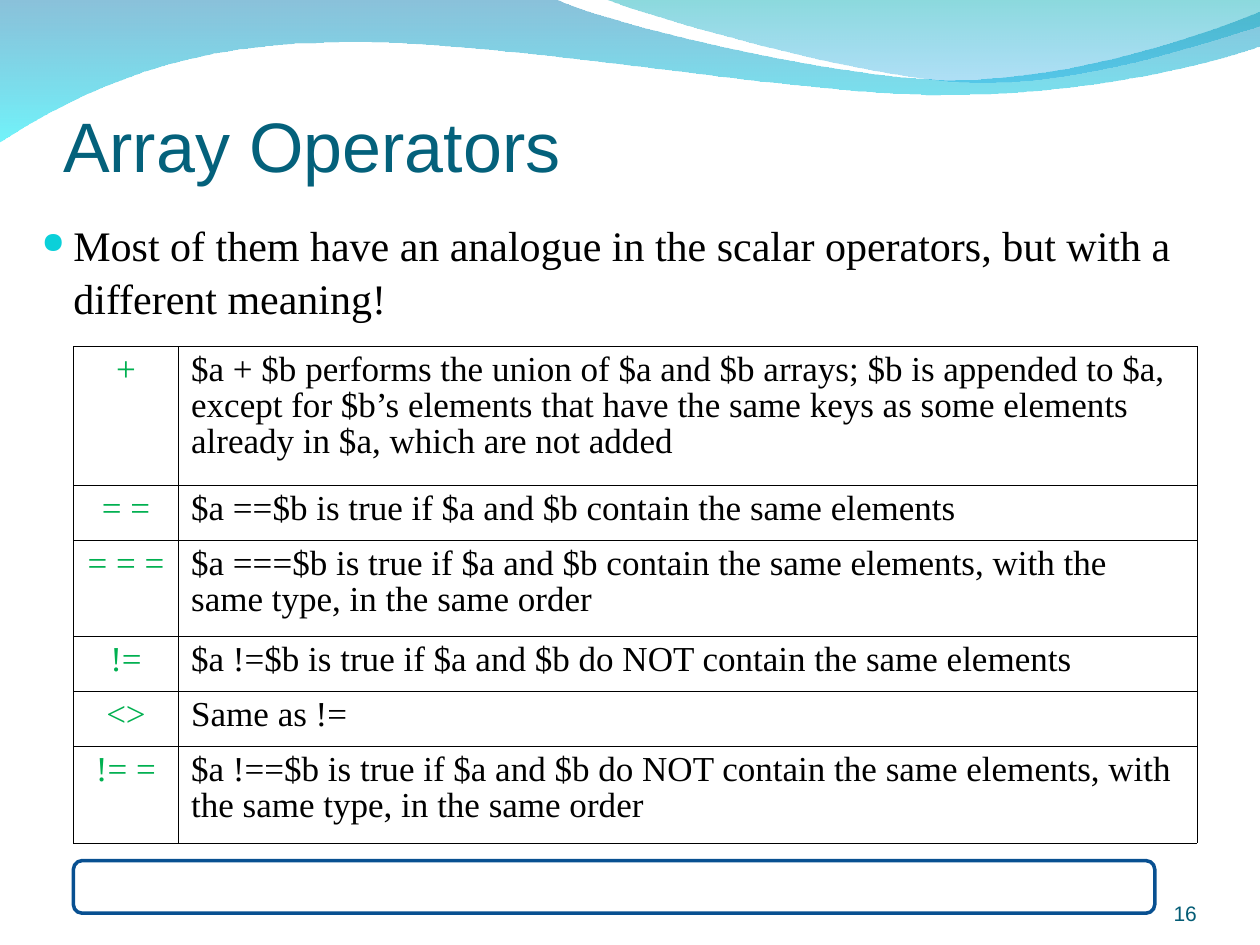
from pptx import Presentation
from pptx.dml.color import RGBColor
from pptx.enum.shapes import MSO_SHAPE
from pptx.enum.text import MSO_ANCHOR, MSO_AUTO_SIZE, PP_ALIGN
from pptx.oxml.ns import qn
from pptx.util import Cm, Pt
from lxml.etree import SubElement

SERIF = "Times New Roman"
SANS = "Arial"

BACK_WAVE = [
    [(0, -0.03)],
    [(11.18, -0.03)],
    [(12.09, 0.43), (16.87, 1.6), (19.25, 1.6)],
    [(21.67, 1.6), (24.33, 0.66), (25.4, 0.23)],
    [(25.43, 0.91)],
    [(24.97, 1.12), (22.1, 1.93), (18.95, 1.91)],
    [(15.8, 1.91), (9.7, 0.71), (6.53, 0.86)],
    [(3.28, 0.89), (1.17, 2.11), (-0.03, 2.87)],
]
FRONT_WAVE = [
    [(12.17, -0.03)],
    [(12.93, 0.28), (17.32, 1.57), (19.53, 1.65)],
    [(21.74, 1.75), (24.41, 0.81), (25.4, 0.53)],
    [(25.4, 0)],
]
SHORT_ROW, MIDDLE_ROW, TALL_ROW = 1.11, 1.94, 2.8
OPERATORS = [
    ("+", "$a + $b performs the union of $a and $b arrays; $b is appended to $a, "
          "except for $b’s elements that have the same keys as some elements "
          "already in $a, which are not added", TALL_ROW),
    ("= =", "$a ==$b is true if $a and $b contain the same elements", SHORT_ROW),
    ("= = =", "$a ===$b is true if $a and $b contain the same elements, "
              "with the same type, in the same order", MIDDLE_ROW),
    ("!=", "$a !=$b is true if $a and $b do NOT contain the same elements", SHORT_ROW),
    ("<>", "Same as !=", SHORT_ROW),
    ("!= =", "$a !==$b is true if $a and $b do NOT contain the same elements, "
             "with the same type, in the same order", MIDDLE_ROW),
]


def rgb(value):
    """Turn a hex string into a colour."""
    return RGBColor.from_string(value)


def write(frame, text, font=SERIF, size=20, color="000000", align=PP_ALIGN.LEFT,
          spacing=1.0, before=0):
    """Put one formatted paragraph in a text frame and return it."""
    paragraph = frame.paragraphs[0]
    paragraph.alignment = align
    paragraph.line_spacing = spacing
    paragraph.space_before = Pt(before)
    run = paragraph.add_run()
    run.text = text
    run.font.name = font
    run.font.size = Pt(size)
    run.font.color.rgb = rgb(color)
    return paragraph


def set_frame(frame, anchor, top=0, bottom=0):
    """Set wrapping, anchor and margins of a text frame."""
    frame.word_wrap = True
    frame.auto_size = MSO_AUTO_SIZE.NONE
    frame.vertical_anchor = anchor
    frame.margin_left = frame.margin_right = 0
    frame.margin_top, frame.margin_bottom = Cm(top), Cm(bottom)


def bend_segments(wave, segments):
    """Merge the three corners of each curved segment into one cubic curve."""
    corners = iter(list(wave._element.iter(qn("a:lnTo"))))
    for segment in segments[1:]:
        first, *others = [next(corners) for _ in segment]
        if others:
            first.tag = qn("a:cubicBezTo")
        for corner in others:
            first.append(corner[0])
            corner.getparent().remove(corner)


def add_wave(slide, segments, stops):
    """Draw a wave with a translucent top-to-bottom gradient."""
    start, *corners = [(Cm(x), Cm(y)) for segment in segments for x, y in segment]
    builder = slide.shapes.build_freeform(*start)
    builder.add_line_segments(corners, close=True)
    wave = builder.convert_to_shape()
    bend_segments(wave, segments)
    wave.shadow.inherit = False
    wave.line.fill.background()
    wave.fill.gradient()
    wave.fill.gradient_angle = 270
    for stop, (color, _) in zip(wave.fill.gradient_stops, stops):
        stop.color.rgb = rgb(color)
    for tint, (_, opacity) in zip(wave._element.spPr.iter(qn("a:srgbClr")), stops):
        SubElement(tint, qn("a:alpha"), val=str(opacity * 1000))


def add_title(slide, text):
    """Place and fill the title."""
    title = slide.shapes.title
    title.left, title.top, title.width, title.height = Cm(1.27), Cm(1.9), Cm(23.5), Cm(1.9)
    set_frame(title.text_frame, MSO_ANCHOR.MIDDLE, top=0.13)
    write(title.text_frame, text, font=SANS, size=40, color="04617B")


def add_bullet(slide, text):
    """Add the bulleted introduction."""
    intro = slide.shapes.add_textbox(Cm(0.84), Cm(4.24), Cm(23.93), Cm(2.97))
    set_frame(intro.text_frame, MSO_ANCHOR.TOP, top=0.13, bottom=0.13)
    paragraph = write(intro.text_frame, text, size=24, spacing=1.05, before=6)
    properties = paragraph._p.get_or_add_pPr()
    properties.set("marL", str(Cm(0.64)))
    properties.set("indent", str(-Cm(0.64)))
    bullet_color = SubElement(properties, qn("a:buClr"))
    SubElement(bullet_color, qn("a:srgbClr"), val="0BD0D9")
    SubElement(properties, qn("a:buSzPct"), val="70000")
    SubElement(properties, qn("a:buChar"), char="●")


def add_borders(cell):
    """Give a cell thin black borders and no fill."""
    properties = cell._tc.get_or_add_tcPr()
    for side in ("a:lnL", "a:lnR", "a:lnT", "a:lnB"):
        border = SubElement(properties, qn(side), w=str(Pt(0.23)))
        paint = SubElement(border, qn("a:solidFill"))
        SubElement(paint, qn("a:srgbClr"), val="000000")
    cell.fill.background()


def add_operator_table(slide):
    """Add the table of operators and their meanings."""
    height = sum(row_height for *_, row_height in OPERATORS)
    table = slide.shapes.add_table(len(OPERATORS), 2, Cm(1.48), Cm(6.98),
                                   Cm(22.65), Cm(height)).table
    table.first_row = table.horz_banding = False
    table.columns[0].width, table.columns[1].width = Cm(2.12), Cm(20.53)
    for row, (operator, meaning, row_height) in zip(table.rows, OPERATORS):
        row.height = Cm(row_height)
        symbol_cell, meaning_cell = row.cells
        write(symbol_cell.text_frame, operator, color="00B050",
              align=PP_ALIGN.CENTER, spacing=0.93)
        write(meaning_cell.text_frame, meaning, spacing=0.93)
        for cell in (symbol_cell, meaning_cell):
            add_borders(cell)


def add_empty_frame(slide):
    """Add the rounded frame below the table."""
    frame = slide.shapes.add_shape(MSO_SHAPE.ROUNDED_RECTANGLE, Cm(1.48), Cm(17.35),
                                   Cm(21.8), Cm(1.06))
    frame.shadow.inherit = False
    frame.fill.background()
    frame.line.color.rgb = rgb("085091")
    frame.line.width = Pt(2)


def add_page_number(slide, number):
    """Add the page number at the lower right."""
    page = slide.shapes.add_textbox(Cm(22.02), Cm(17.65), Cm(2.11), Cm(1.02))
    set_frame(page.text_frame, MSO_ANCHOR.BOTTOM)
    write(page.text_frame, number, font=SANS, size=12, color="045C75",
          align=PP_ALIGN.RIGHT)


def main():
    """Build and save the slide."""
    deck = Presentation()
    deck.slide_width, deck.slide_height = Cm(25.4), Cm(19.05)
    slide = deck.slides.add_slide(deck.slide_layouts[5])
    add_wave(slide, BACK_WAVE, [("0079AF", 46), ("00EBF8", 56)])
    add_wave(slide, FRONT_WAVE, [("00ADB6", 46), ("009BE5", 31)])
    add_bullet(slide, "Most of them have an analogue in the scalar operators, "
                      "but with a different meaning!")
    add_title(slide, "Array Operators")
    add_page_number(slide, "16")
    add_operator_table(slide)
    add_empty_frame(slide)
    deck.save("out.pptx")


if __name__ == "__main__":
    main()
